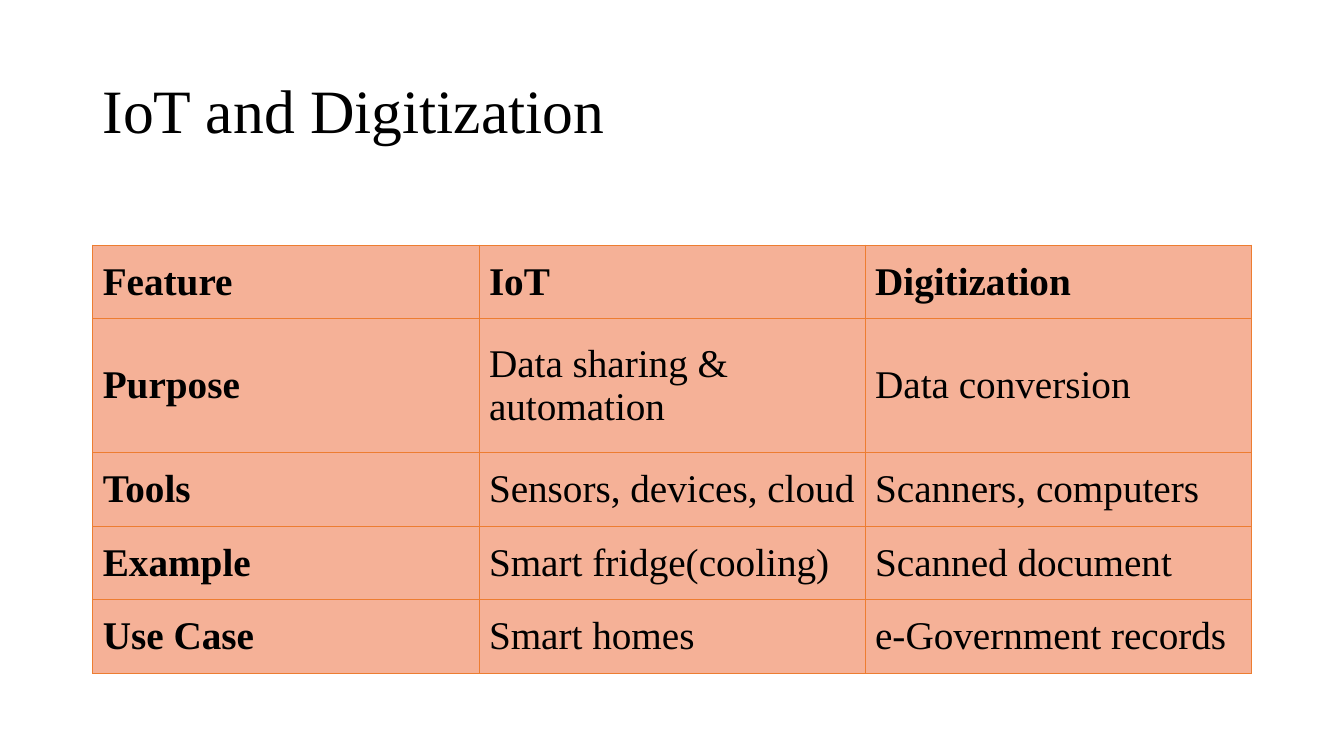
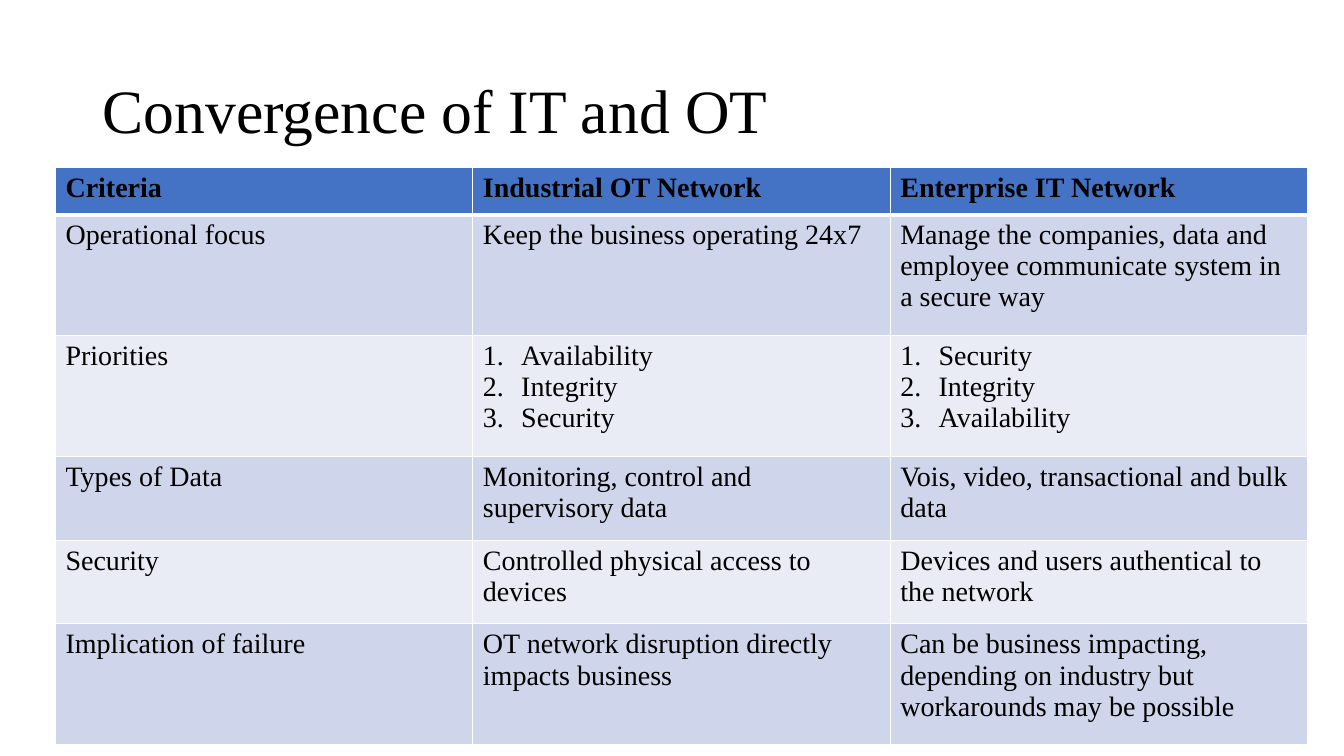
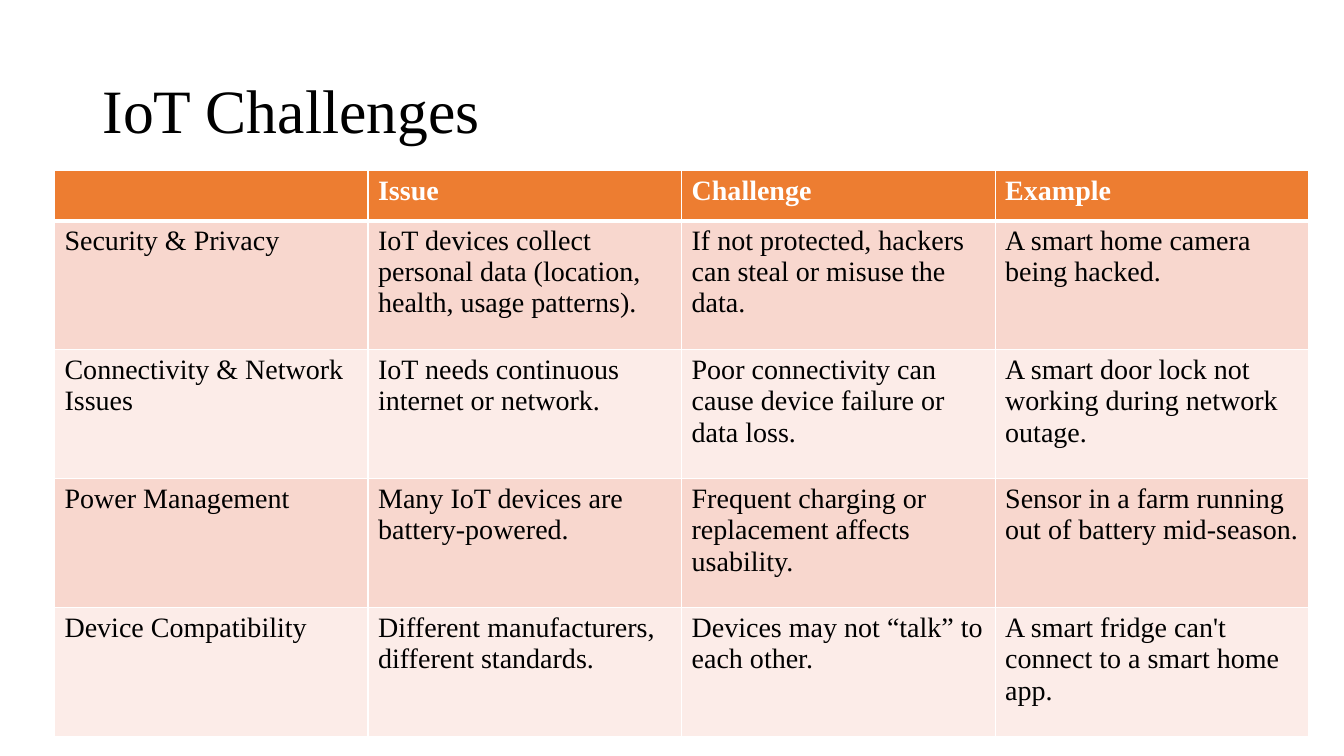
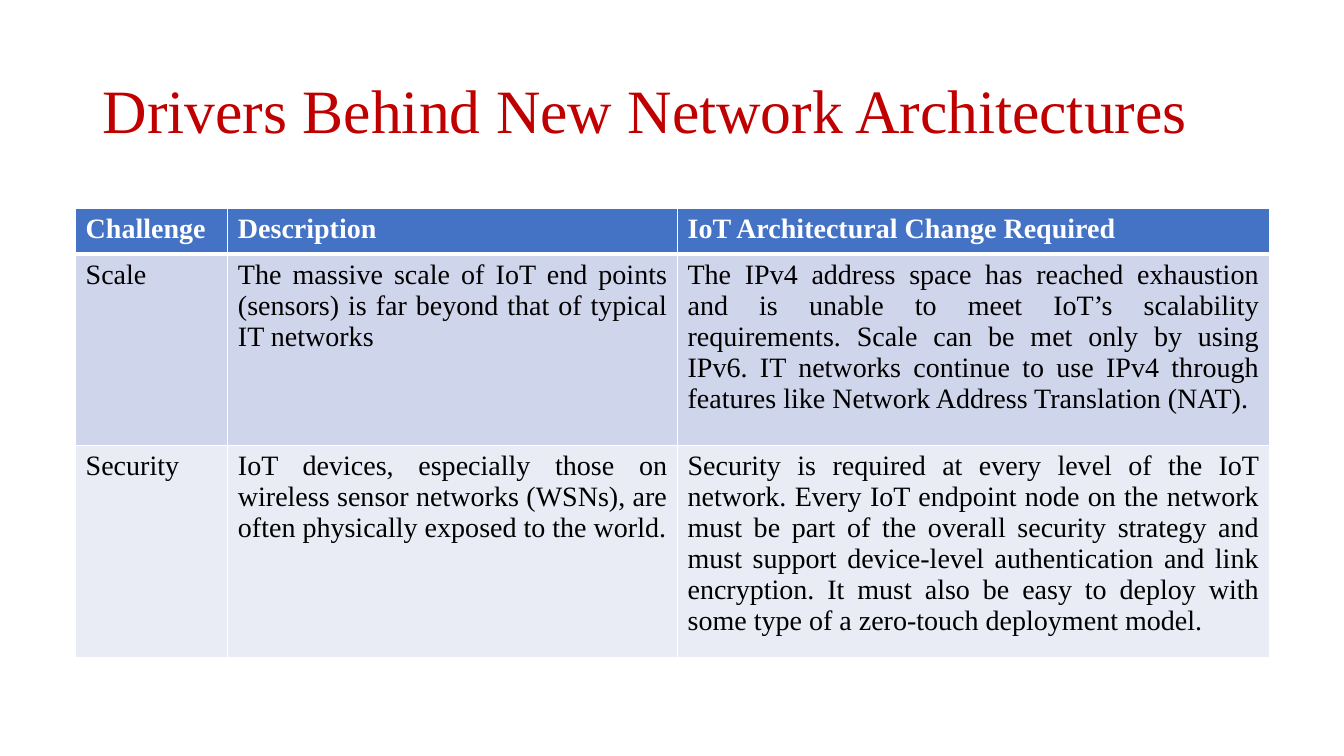
"""Build four table slides on IoT, digitization and network architecture."""
from lxml.etree import SubElement
from pptx import Presentation
from pptx.dml.color import RGBColor
from pptx.enum.text import MSO_ANCHOR, PP_ALIGN
from pptx.oxml import parse_xml
from pptx.oxml.ns import nsdecls, qn
from pptx.util import Inches, Pt

FONT = "Times New Roman"
BLACK = RGBColor(0x00, 0x00, 0x00)
WHITE = RGBColor(0xFF, 0xFF, 0xFF)
RED = RGBColor(0xC0, 0x00, 0x00)
BLUE = RGBColor(0x44, 0x72, 0xC4)
BLUE_BANDS = (RGBColor(0xCF, 0xD5, 0xEA), RGBColor(0xE9, 0xEB, 0xF5))
ORANGE = RGBColor(0xED, 0x7D, 0x31)
ORANGE_BANDS = (RGBColor(0xF8, 0xD7, 0xCE), RGBColor(0xFC, 0xEC, 0xE8))
SALMON = RGBColor(0xF5, 0xB1, 0x97)

SLIDES = [
    {
        "title": "IoT and Digitization", "title_color": BLACK,
        "left": 0.92, "top": 2.43,
        "columns": [3.83] * 3, "heights": [0.73, 1.33, 0.73, 0.73, 0.73],
        "header": SALMON, "header_text": BLACK, "bands": (SALMON, SALMON),
        "border": ORANGE, "widths": (0.5, 0.5), "size": 28,
        "anchor": MSO_ANCHOR.MIDDLE, "bold_first_column": True,
        "align": PP_ALIGN.LEFT,
        "rows": [
            ["Feature", "IoT", "Digitization"],
            ["Purpose", "Data sharing & automation", "Data conversion"],
            ["Tools", "Sensors, devices, cloud", "Scanners, computers"],
            ["Example", "Smart fridge(cooling)", "Scanned document"],
            ["Use Case", "Smart homes", "e-Government records"],
        ],
    },
    {
        "title": "Convergence of IT and OT", "title_color": BLACK,
        "left": 0.55, "top": 1.66,
        "columns": [4.14] * 3, "heights": [0.47, 1.2, 1.2, 0.83, 0.83, 1.2],
        "header": BLUE, "header_text": BLACK, "bands": BLUE_BANDS,
        "border": WHITE, "widths": (1, 3), "size": 20,
        "anchor": MSO_ANCHOR.TOP, "bold_first_column": False,
        "align": PP_ALIGN.LEFT,
        "rows": [
            ["Criteria", "Industrial OT Network", "Enterprise IT Network"],
            ["Operational focus", "Keep the business operating 24x7",
             "Manage the companies, data and employee communicate system in a secure way"],
            ["Priorities", "Availability\nIntegrity\nSecurity",
             "Security\nIntegrity\nAvailability"],
            ["Types of Data", "Monitoring, control and supervisory data",
             "Vois, video, transactional and bulk data"],
            ["Security", "Controlled physical access to devices",
             "Devices and users authentical to the network"],
            ["Implication of failure", "OT network disruption directly impacts business",
             "Can be business impacting, depending on industry but workarounds may be possible"],
        ],
    },
    {
        "title": "IoT Challenges", "title_color": BLACK,
        "left": 0.54, "top": 1.69,
        "columns": [3.11] * 4, "heights": [0.5] + [1.28] * 4,
        "header": ORANGE, "header_text": WHITE, "bands": ORANGE_BANDS,
        "border": WHITE, "widths": (1, 3), "size": 20,
        "anchor": MSO_ANCHOR.TOP, "bold_first_column": False,
        "align": PP_ALIGN.LEFT,
        "rows": [
            ["", "Issue", "Challenge", "Example"],
            ["Security & Privacy",
             "IoT devices collect personal data (location, health, usage patterns).",
             "If not protected, hackers can steal or misuse the data.",
             "A smart home camera being hacked."],
            ["Connectivity & Network Issues",
             "IoT needs continuous internet or network.",
             "Poor connectivity can cause device failure or data loss.",
             "A smart door lock not working during network outage."],
            ["Power Management",
             "Many IoT devices are battery-powered.",
             "Frequent charging or replacement affects usability.",
             "Sensor in a farm running out of battery mid-season."],
            ["Device Compatibility",
             "Different manufacturers, different standards.",
             "Devices may not “talk” to each other.",
             "A smart fridge can't connect to a smart home app."],
        ],
    },
    {
        "title": "Drivers Behind New Network Architectures", "title_color": RED,
        "left": 0.75, "top": 2.07,
        "columns": [1.51, 4.46, 5.87], "heights": [0.45, 1.9, 1.95],
        "header": BLUE, "header_text": WHITE, "bands": BLUE_BANDS,
        "border": WHITE, "widths": (1, 3), "size": 20,
        "anchor": MSO_ANCHOR.TOP, "bold_first_column": False,
        "align": PP_ALIGN.JUSTIFY,
        "rows": [
            ["Challenge", "Description", "IoT Architectural Change Required"],
            ["Scale",
             "The massive scale of IoT end points (sensors) is far beyond that of "
             "typical IT networks",
             "The IPv4 address space has reached exhaustion and is unable to meet "
             "IoT’s scalability requirements. Scale can be met only by using IPv6. "
             "IT networks continue to use IPv4 through features like Network Address "
             "Translation (NAT)."],
            ["Security",
             "IoT devices, especially those on wireless sensor networks (WSNs), are "
             "often physically exposed to the world.",
             "Security is required at every level of the IoT network. Every IoT "
             "endpoint node on the network must be part of the overall security "
             "strategy and must support device-level authentication and link "
             "encryption. It must also be easy to deploy with some type of a "
             "zero-touch deployment model."],
        ],
    },
]


def set_font(para, size, color, bold=False):
    para.font.name = FONT
    para.font.size = Pt(size)
    para.font.color.rgb = color
    para.font.bold = bold


def set_borders(cell, color, thin, top, bottom):
    sides = [("L", thin), ("R", thin), ("T", top), ("B", bottom)]
    for index, (side, width) in enumerate(sides):
        line = parse_xml(
            f'<a:ln{side} {nsdecls("a")} w="{Pt(width)}"><a:solidFill>'
            f'<a:srgbClr val="{color}"/></a:solidFill></a:ln{side}>')
        cell._tc.get_or_add_tcPr().insert(index, line)


deck = Presentation()
deck.slide_width = Inches(13.33)
deck.slide_height = Inches(7.5)

for content in SLIDES:
    page = deck.slides.add_slide(deck.slide_layouts[6])
    box = page.shapes.add_textbox(Inches(0.92), Inches(0.4), Inches(11.5), Inches(1.45))
    box.text_frame.word_wrap = True
    box.text_frame.vertical_anchor = MSO_ANCHOR.MIDDLE
    heading = box.text_frame.paragraphs[0]
    heading.text = content["title"]
    heading.line_spacing = 0.9
    set_font(heading, 44, content["title_color"])

    columns, heights = content["columns"], content["heights"]
    table = page.shapes.add_table(
        len(heights), len(columns), Inches(content["left"]), Inches(content["top"]),
        Inches(sum(columns)), Inches(sum(heights))).table
    table.first_row = False
    table.horz_banding = False
    for column, width in zip(table.columns, columns):
        column.width = Inches(width)

    thin, thick = content["widths"]
    for row_index, texts in enumerate(content["rows"]):
        table.rows[row_index].height = Inches(heights[row_index])
        is_header = row_index == 0
        fill = content["header"] if is_header else content["bands"][(row_index - 1) % 2]
        color = content["header_text"] if is_header else BLACK
        top = thick if row_index == 1 else thin
        bottom = thick if is_header else thin
        for column_index, text in enumerate(texts):
            cell = table.cell(row_index, column_index)
            cell.text = text
            cell.vertical_anchor = content["anchor"]
            cell.fill.solid()
            cell.fill.fore_color.rgb = fill
            set_borders(cell, content["border"], thin, top, bottom)
            bold = is_header or (content["bold_first_column"] and column_index == 0)
            for para in cell.text_frame.paragraphs:
                if "\n" in text:
                    properties = para._p.get_or_add_pPr()
                    properties.set("marL", str(Inches(0.38)))
                    properties.set("indent", str(-Inches(0.38)))
                    SubElement(properties, qn("a:buAutoNum"), type="arabicPeriod")
                if not is_header and column_index > 0:
                    para.alignment = content["align"]
                set_font(para, content["size"], color, bold)

deck.save("out.pptx")
